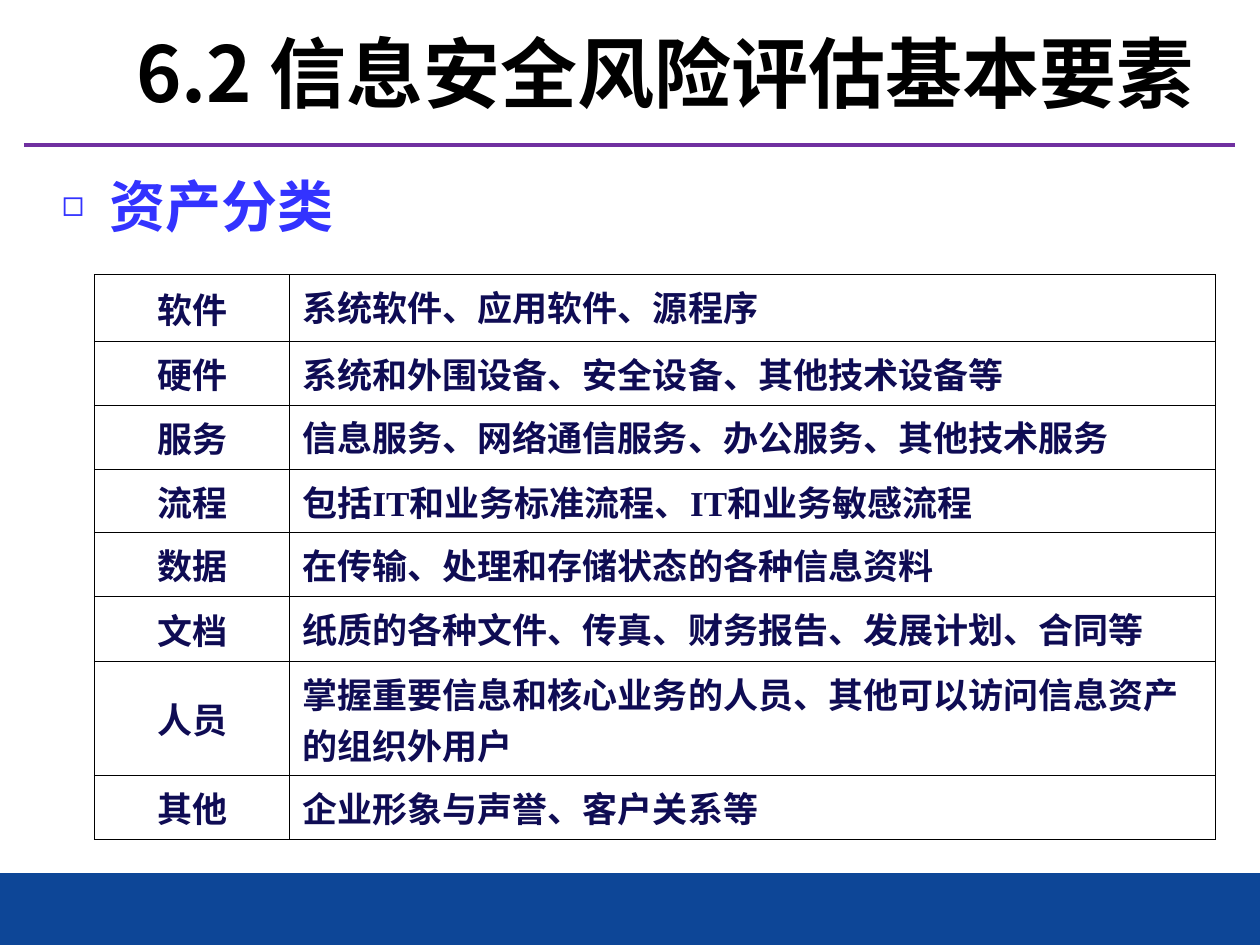
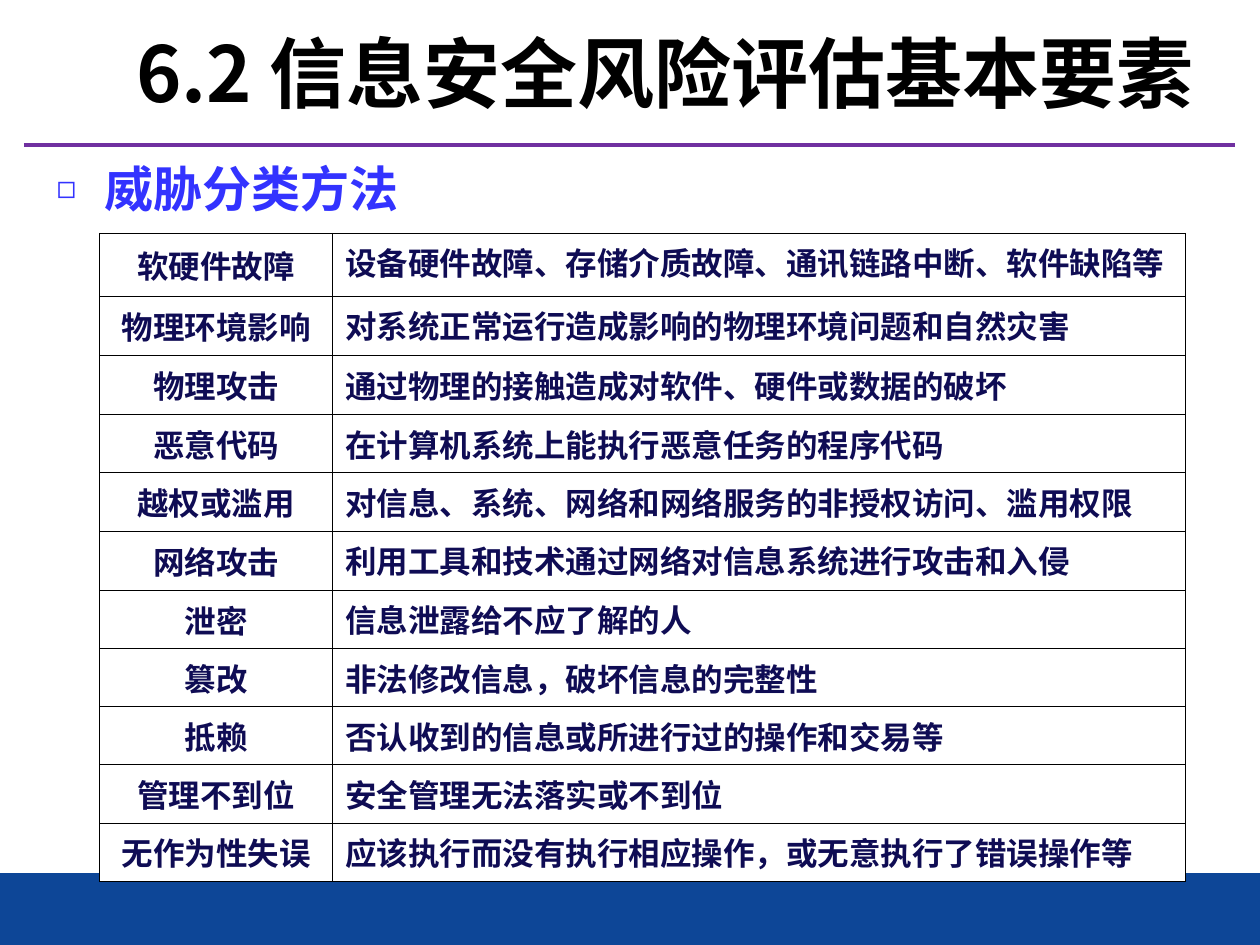
from lxml import etree
from pptx import Presentation
from pptx.dml.color import RGBColor
from pptx.enum.shapes import MSO_CONNECTOR, MSO_SHAPE
from pptx.enum.text import MSO_ANCHOR, MSO_AUTO_SIZE, PP_ALIGN
from pptx.oxml.ns import qn
from pptx.util import Inches, Pt

STRAIGHT = MSO_CONNECTOR.STRAIGHT
RECT = MSO_SHAPE.RECTANGLE
TOP, MIDDLE = MSO_ANCHOR.TOP, MSO_ANCHOR.MIDDLE
LEFT, CENTER = PP_ALIGN.LEFT, PP_ALIGN.CENTER
FIXED = MSO_AUTO_SIZE.NONE

BLACK = RGBColor(0x00, 0x00, 0x00)
WHITE = RGBColor(0xFF, 0xFF, 0xFF)
PURPLE = RGBColor(0x70, 0x30, 0xA0)
BLUE = RGBColor(0x33, 0x33, 0xFF)
NAVY = RGBColor(0x0F, 0x0C, 0x54)
BAND = RGBColor(0x0D, 0x46, 0x97)
SANS, SERIF = "Noto Sans CJK SC", "Times New Roman"
TITLE = "6.2 信息安全风险评估基本要素"
THIN, THICK = Pt(0.45), Pt(0.75)

ASSETS = [
    ("软件", "系统软件、应用软件、源程序", 0.53),
    ("硬件", "系统和外围设备、安全设备、其他技术设备等", 0.45),
    ("服务", "信息服务、网络通信服务、办公服务、其他技术服务", 0.51),
    ("流程", "包括IT和业务标准流程、IT和业务敏感流程", 0.45),
    ("数据", "在传输、处理和存储状态的各种信息资料", 0.45),
    ("文档", "纸质的各种文件、传真、财务报告、发展计划、合同等", 0.52),
    ("人员", "掌握重要信息和核心业务的人员、其他可以访问信息资产的组织外用户", 0.8),
    ("其他", "企业形象与声誉、客户关系等", 0.45),
]
THREATS = [
    ("软硬件故障", "设备硬件故障、存储介质故障、通讯链路中断、软件缺陷等", 0.5),
    ("物理环境影响", "对系统正常运行造成影响的物理环境问题和自然灾害", 0.47),
    ("物理攻击", "通过物理的接触造成对软件、硬件或数据的破坏", 0.47),
    ("恶意代码", "在计算机系统上能执行恶意任务的程序代码", 0.4),
    ("越权或滥用", "对信息、系统、网络和网络服务的非授权访问、滥用权限", 0.45),
    ("网络攻击", "利用工具和技术通过网络对信息系统进行攻击和入侵", 0.47),
    ("泄密", "信息泄露给不应了解的人", 0.41),
    ("篡改", "非法修改信息，破坏信息的完整性", 0.45),
    ("抵赖", "否认收到的信息或所进行过的操作和交易等", 0.42),
    ("管理不到位", "安全管理无法落实或不到位", 0.43),
    ("无作为性失误", "应该执行而没有执行相应操作，或无意执行了错误操作等", 0.42),
]


def style(para, size, color, face, align=LEFT):
    """Format the runs of a paragraph."""
    para.alignment = align
    para.space_before = Pt(0)
    for run in para.runs:
        font = run.font
        font.size, font.bold, font.name = Pt(size), True, face
        font.color.rgb = color
        etree.SubElement(run._r.rPr, qn("a:ea"), typeface=SANS)


def fill_box(shape, box, text):
    """Move a placeholder to a box, set its text and return the paragraph."""
    shape.left, shape.top, shape.width, shape.height = map(Inches, box)
    frame = shape.text_frame
    frame.text = text
    frame.auto_size, frame.word_wrap = FIXED, True
    frame.vertical_anchor = MIDDLE
    return frame.paragraphs[0]


def add_bullet(para):
    """Give a paragraph a hollow square bullet and a hanging indent."""
    props = para._p.get_or_add_pPr()
    props.set("marL", str(Inches(0.38)))
    props.set("indent", str(-Inches(0.38)))
    tint = etree.SubElement(props, qn("a:buClr"))
    etree.SubElement(tint, qn("a:srgbClr"), val=str(BLUE))
    etree.SubElement(props, qn("a:buSzPct"), val="65000")
    etree.SubElement(props, qn("a:buChar"), char="◻")


def add_frame(slide):
    """Draw the title, the rule below it and the bottom band."""
    para = fill_box(slide.shapes.title, (0.98, 0.07, 8.9, 1), TITLE)
    style(para, 44, BLACK, SANS)
    ends = map(Inches, (0.19, 1.15, 9.8, 1.15))
    rule = slide.shapes.add_connector(STRAIGHT, *ends)
    rule.line.color.rgb, rule.line.width = PURPLE, Pt(2.25)
    etree.SubElement(rule._element.spPr, qn("a:effectLst"))
    band = slide.shapes.add_shape(RECT, *map(Inches, (0, 6.93, 10, 0.57)))
    band.shadow.inherit = False
    band.fill.solid()
    band.fill.fore_color.rgb = BAND
    band.line.fill.background()


def add_edges(cell, col):
    """Draw cell borders, thicker on the outer left and right."""
    props = cell._tc.get_or_add_tcPr()
    widths = {
        "a:lnL": THIN if col else THICK,
        "a:lnR": THICK if col else THIN,
        "a:lnT": THIN,
        "a:lnB": THIN,
    }
    for tag, width in widths.items():
        line = etree.SubElement(props, qn(tag), w=str(width))
        solid = etree.SubElement(line, qn("a:solidFill"))
        etree.SubElement(solid, qn("a:srgbClr"), val=str(BLACK))


def add_grid(slide, box, first, rows, size):
    """Build a two-column table whose first column has the given width."""
    grid = slide.shapes.add_table(len(rows), 2, *map(Inches, box)).table
    grid.first_row = grid.horz_banding = False
    grid.columns[0].width = Inches(first)
    grid.columns[1].width = Inches(box[2] - first)
    for row, (name, detail, height) in enumerate(rows):
        grid.rows[row].height = Inches(height)
        for col, text in enumerate((name, detail)):
            cell = grid.cell(row, col)
            cell.text = text
            cell.vertical_anchor = TOP if col else MIDDLE
            add_edges(cell, col)
            cell.fill.solid()
            cell.fill.fore_color.rgb = WHITE
            para = cell.text_frame.paragraphs[0]
            style(para, size, NAVY, SERIF, LEFT if col else CENTER)


def add_page(deck, head, place, points, box, first, rows, size):
    """Add a slide with a bulleted heading over a table of classes."""
    slide = deck.slides.add_slide(deck.slide_layouts[1])
    add_frame(slide)
    para = fill_box(slide.placeholders[1], place, head)
    add_bullet(para)
    style(para, points, BLUE, SERIF)
    add_grid(slide, box, first, rows, size)


def main():
    """Build and save the deck."""
    deck = Presentation()
    deck.slide_width, deck.slide_height = Inches(10), Inches(7.5)
    add_page(deck, "资产分类", (0.39, 1.31, 9.34, 0.64), 32,
             (0.75, 2.18, 8.9, 4.16), 1.55, ASSETS, 20)
    add_page(deck, "威胁分类方法", (0.35, 1.21, 9.49, 0.57), 28,
             (0.79, 1.85, 8.62, 4.89), 1.85, THREATS, 18)
    deck.save("out.pptx")


if __name__ == "__main__":
    main()
